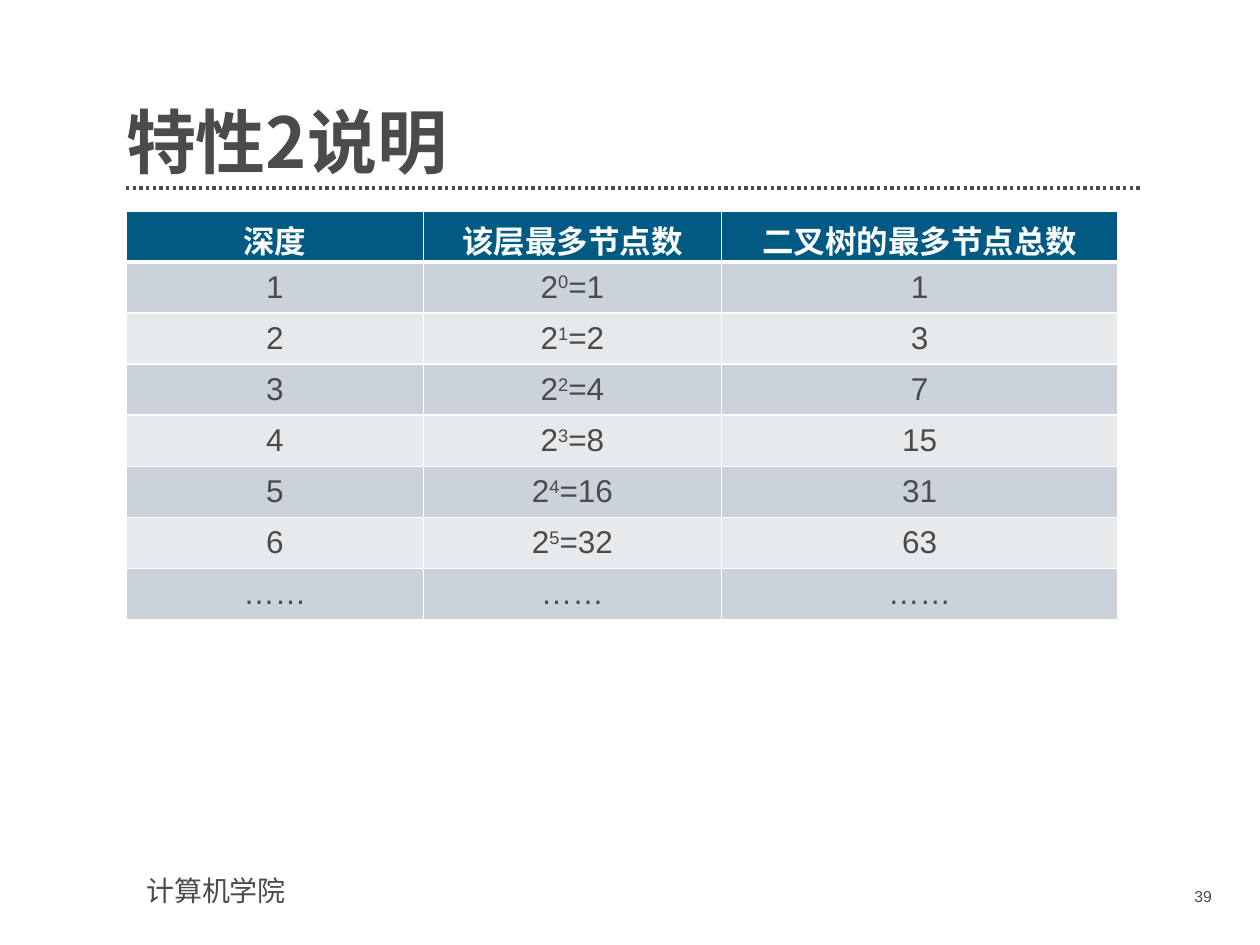
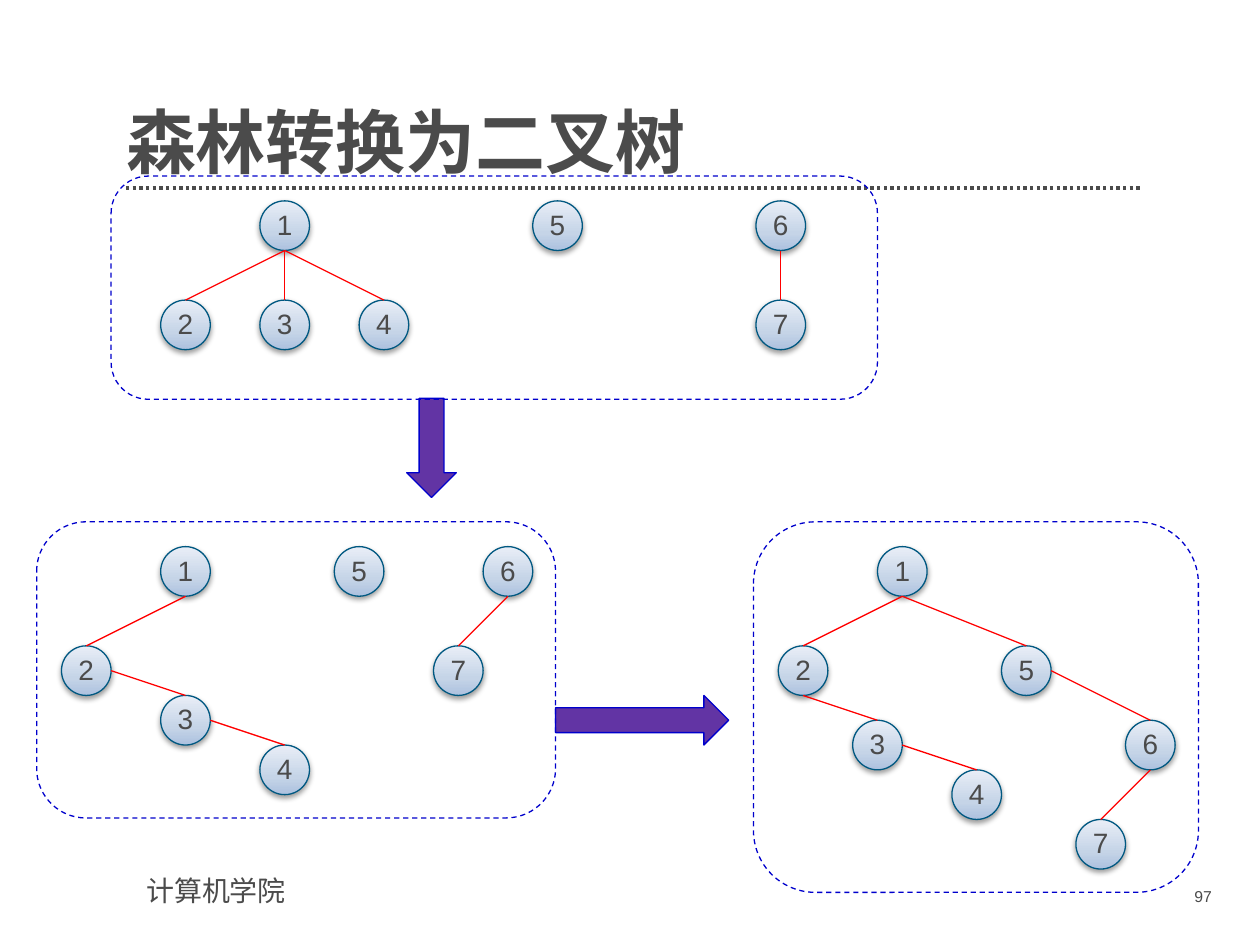
from lxml import etree
from pptx import Presentation
from pptx.dml.color import RGBColor
from pptx.enum import dml, shapes, text
from pptx.oxml import parse_xml
from pptx.oxml.ns import nsdecls, qn
from pptx.util import Cm, Pt

INK = RGBColor(0x4B, 0x4B, 0x4B)
WHITE = RGBColor(0xFF, 0xFF, 0xFF)
HEADER = RGBColor(0x00, 0x5A, 0x84)
BANDS = RGBColor(0xCC, 0xD2, 0xD9), RGBColor(0xE7, 0xEA, 0xED)
NODE_LINE = RGBColor(0x00, 0x58, 0x81)
EDGE = RGBColor(0xFF, 0x00, 0x00)
PANEL_LINE = RGBColor(0x00, 0x00, 0xCC)
ARROW = RGBColor(0x62, 0x34, 0xA4)
NODE_STOPS = (0, "ACC1DF"), (35, "C5D4E7"), (100, "E9EEF7")

BODY_FONT = "Arial"
CJK_FONT = "Noto Sans CJK SC"
FOOTER = "计算机学院"

DEPTH_TITLE, DEPTH_PAGE = "特性2说明", 39
DEPTH_HEADS = "深度", "该层最多节点数", "二叉树的最多节点总数"
# A cell is a (base, exponent, rest) tuple where it holds a power
DEPTH_ROWS = [
    ("1", ("2", "0", "=1"), "1"),
    ("2", ("2", "1", "=2"), "3"),
    ("3", ("2", "2", "=4"), "7"),
    ("4", ("2", "3", "=8"), "15"),
    ("5", ("2", "4", "=16"), "31"),
    ("6", ("2", "5", "=32"), "63"),
    ("……", "……", "……"),
]
DEPTH_COLUMNS = 6, 6, 8
ROW_HEIGHT = 1.03

FOREST_TITLE, FOREST_PAGE = "森林转换为二叉树", 97
# Panel boxes are left, top, width, height in cm; nodes are placed from the
# panel corner; an edge leaves its parent at the "bottom" or the "right".
PANELS = [
    {
        "box": (2.24, 3.55, 15.45, 4.5),
        "nodes": {1: (3, 0.5), 2: (1, 2.5), 3: (3, 2.5), 4: (5, 2.5),
                  5: (8.5, 0.5), 6: (13, 0.5), 7: (13, 2.5)},
        "edges": [(1, 2, "bottom"), (1, 3, "bottom"), (1, 4, "bottom"),
                  (6, 7, "bottom")],
    },
    {
        "box": (0.74, 10.52, 10.46, 5.97),
        "nodes": {1: (2.5, 0.5), 2: (0.5, 2.5), 3: (2.5, 3.5), 4: (4.5, 4.5),
                  5: (6, 0.5), 6: (9, 0.5), 7: (8, 2.5)},
        "edges": [(1, 2, "bottom"), (2, 3, "right"), (3, 4, "right"),
                  (6, 7, "bottom")],
    },
    {
        "box": (15.19, 10.52, 8.97, 7.47),
        "nodes": {1: (2.5, 0.5), 2: (0.5, 2.5), 3: (2, 4), 4: (4, 5),
                  5: (5, 2.5), 6: (7.5, 4), 7: (6.5, 6)},
        "edges": [(1, 2, "bottom"), (1, 5, "bottom"), (2, 3, "bottom"),
                  (3, 4, "right"), (5, 6, "right"), (6, 7, "bottom")],
    },
]
NODE_SIZE = 1
ARROWS = [
    (shapes.MSO_SHAPE.DOWN_ARROW, (8.2, 8.03, 1, 2)),
    (shapes.MSO_SHAPE.RIGHT_ARROW, (11.2, 14.02, 3.49, 1)),
]


def cm(*lengths):
    return [Cm(length) for length in lengths]


def style_para(para, size, color=INK, bold=False, align=text.PP_ALIGN.LEFT, face=BODY_FONT):
    para.alignment = align
    font = para.font
    font.name, font.size, font.bold = face, Pt(size), bold
    font.color.rgb = color
    defaults = para._p.pPr.find(qn("a:defRPr"))
    etree.SubElement(defaults, qn("a:ea")).set("typeface", CJK_FONT)


def add_line(page, start, end, color, width):
    line = page.shapes.add_connector(
        shapes.MSO_CONNECTOR.STRAIGHT, *cm(*start, *end))
    line.line.color.rgb = color
    line.line.width = Pt(width)
    etree.SubElement(line._element.spPr, qn("a:effectLst"))
    return line


def add_label(page, label, box, size, align=text.PP_ALIGN.LEFT):
    frame = page.shapes.add_textbox(*cm(*box)).text_frame
    frame.word_wrap = True
    frame.text = label
    style_para(frame.paragraphs[0], size, align=align)


def add_page(deck, title, number):
    """Add a slide with the shared title, dotted rule, footer and number."""
    page = deck.slides.add_slide(deck.slide_layouts[5])
    head = page.shapes.title
    head.left, head.top, head.width, head.height = cm(2.54, 1.4, 20.47, 2.31)
    frame = head.text_frame
    frame.text = title
    frame.auto_size = text.MSO_AUTO_SIZE.NONE
    frame.vertical_anchor = text.MSO_ANCHOR.BOTTOM
    frame.margin_left = frame.margin_right = 0
    frame.margin_top = frame.margin_bottom = 0
    para = frame.paragraphs[0]
    para.line_spacing = 0.9
    style_para(para, 40, bold=True, face=CJK_FONT)

    rule = add_line(page, (2.54, 3.79), (23.01, 3.79), INK, 1.9)
    rule.line.dash_style = dml.MSO_LINE.ROUND_DOT
    add_label(page, FOOTER, (2.7, 17.48, 7, 0.94), 16)
    add_label(page, str(number), (22.17, 17.75, 2.51, 0.74), 9, text.PP_ALIGN.RIGHT)
    return page


def set_borders(cell, bottom):
    """Draw white borders: 1 pt, with the given width below."""
    widths = {"lnL": 1, "lnR": 1, "lnT": 1, "lnB": bottom}
    props = cell._tc.get_or_add_tcPr()
    for place, (side, width) in enumerate(widths.items()):
        props.insert(place, parse_xml(
            f'<a:{side} {nsdecls("a")} w="{Pt(width)}"><a:solidFill>'
            f'<a:srgbClr val="{WHITE}"/></a:solidFill></a:{side}>'))


def fill_cell(cell, content, is_head, fill):
    para = cell.text_frame.paragraphs[0]
    style_para(para, 18, WHITE if is_head else INK, is_head, text.PP_ALIGN.CENTER)
    parts = content if isinstance(content, tuple) else (content,)
    for place, part in enumerate(parts):
        span = para.add_run()
        span.text = part
        if place == 1:
            span._r.get_or_add_rPr().set("baseline", "30000")
    cell.vertical_anchor = text.MSO_ANCHOR.MIDDLE
    cell.fill.solid()
    cell.fill.fore_color.rgb = fill
    set_borders(cell, 3 if is_head else 1)


def add_depth_table(page):
    rows = [DEPTH_HEADS, *DEPTH_ROWS]
    table = page.shapes.add_table(
        len(rows), len(DEPTH_COLUMNS),
        *cm(2.54, 4.25, sum(DEPTH_COLUMNS), ROW_HEIGHT * len(rows))).table
    for column, width in zip(table.columns, DEPTH_COLUMNS):
        column.width = Cm(width)
    for r, row in enumerate(rows):
        table.rows[r].height = Cm(ROW_HEIGHT)
        fill = BANDS[(r - 1) % 2] if r else HEADER
        for c, content in enumerate(row):
            fill_cell(table.cell(r, c), content, r == 0, fill)


def add_outlined(page, kind, box, line_color):
    shape = page.shapes.add_shape(kind, *cm(*box))
    shape.shadow.inherit = False
    shape.line.color.rgb = line_color
    shape.line.width = Pt(0.75)
    return shape


def add_node(page, label, left, top):
    node = add_outlined(page, shapes.MSO_SHAPE.OVAL,
                        (left, top, NODE_SIZE, NODE_SIZE), NODE_LINE)
    stops = "".join(f'<a:gs pos="{pos * 1000}"><a:srgbClr val="{color}"/></a:gs>'
                    for pos, color in NODE_STOPS)
    props = node._element.spPr
    props.find(qn("a:prstGeom")).addnext(parse_xml(
        f'<a:gradFill {nsdecls("a")} rotWithShape="1"><a:gsLst>{stops}</a:gsLst>'
        '<a:lin ang="16200000" scaled="0"/></a:gradFill>'))
    props.find(qn("a:effectLst")).append(parse_xml(
        f'<a:outerShdw {nsdecls("a")} blurRad="{Pt(3.1)}" dist="{Pt(1.6)}" '
        'dir="5400000" rotWithShape="0"><a:srgbClr val="000000">'
        '<a:alpha val="38000"/></a:srgbClr></a:outerShdw>'))
    frame = node.text_frame
    frame.word_wrap = False
    frame.margin_left = frame.margin_right = 0
    frame.margin_top, frame.margin_bottom = 0, Cm(0.06)
    frame.vertical_anchor = text.MSO_ANCHOR.MIDDLE
    frame.text = str(label)
    style_para(frame.paragraphs[0], 16, align=text.PP_ALIGN.CENTER)


def add_trees(page, panel):
    left, top = panel["box"][:2]
    spots = {label: (left + x, top + y) for label, (x, y) in panel["nodes"].items()}
    for label, spot in spots.items():
        add_node(page, label, *spot)
    half = NODE_SIZE / 2
    exits = {"bottom": (half, NODE_SIZE), "right": (NODE_SIZE, half)}
    for parent, child, side in panel["edges"]:
        (px, py), (cx, cy), (dx, dy) = spots[parent], spots[child], exits[side]
        add_line(page, (px + dx, py + dy), (cx + half, cy), EDGE, 0.75)


def add_forest(page):
    for panel in PANELS:
        add_trees(page, panel)
    for kind, box in ARROWS:
        arrow = add_outlined(page, kind, box, PANEL_LINE)
        arrow.fill.solid()
        arrow.fill.fore_color.rgb = ARROW
    for panel in PANELS:
        frame = add_outlined(page, shapes.MSO_SHAPE.ROUNDED_RECTANGLE,
                             panel["box"], PANEL_LINE)
        frame.fill.background()
        frame.line.dash_style = dml.MSO_LINE.DASH


def main():
    deck = Presentation()
    deck.slide_width, deck.slide_height = cm(25.4, 19.05)
    add_depth_table(add_page(deck, DEPTH_TITLE, DEPTH_PAGE))
    add_forest(add_page(deck, FOREST_TITLE, FOREST_PAGE))
    deck.save("out.pptx")


if __name__ == "__main__":
    main()
